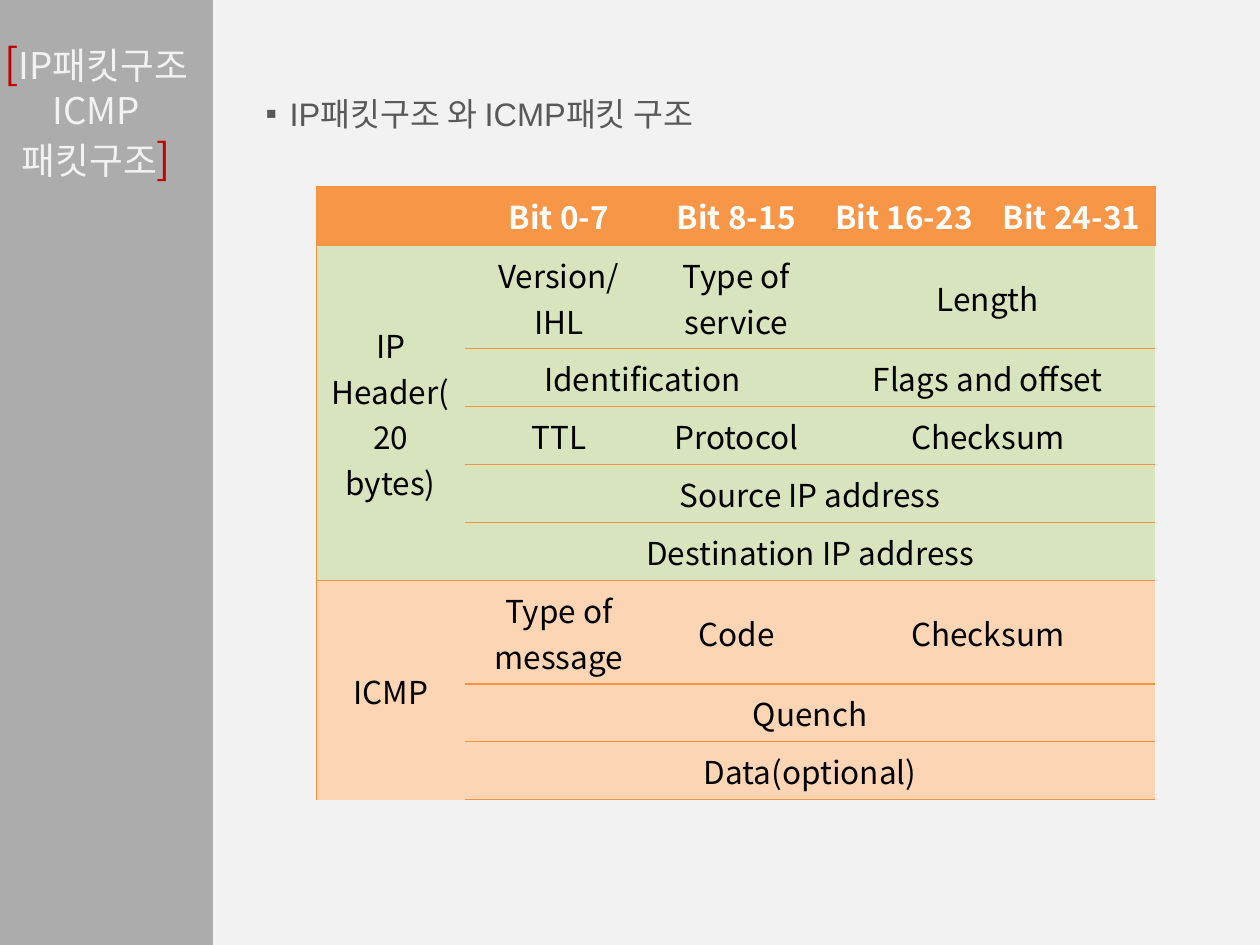
from lxml.etree import SubElement
from pptx import Presentation
from pptx.dml.color import RGBColor
from pptx.enum.shapes import MSO_SHAPE as Shape
from pptx.enum.text import MSO_ANCHOR as Anchor, PP_ALIGN as Align
from pptx.oxml import parse_xml
from pptx.oxml.ns import nsdecls, qn
from pptx.util import Inches, Pt

WHITE = RGBColor(0xFF, 0xFF, 0xFF)
BLACK = RGBColor(0, 0, 0)
PALE = RGBColor(0xF2, 0xF2, 0xF2)
DARK = RGBColor(0x26, 0x26, 0x26)
GRAY = RGBColor(0x59, 0x59, 0x59)
RED = RGBColor(0xC0, 0, 0)
ORANGE = RGBColor(0xF7, 0x96, 0x46)
EDGE = RGBColor(0xF6, 0x92, 0x40)
GREEN = RGBColor(0xD7, 0xE4, 0xBD)
PEACH = RGBColor(0xFC, 0xD5, 0xB5)
SANS = "Noto Sans CJK KR"

# Content: each field is (text, columns it spans)
TITLE = [("[", 24, RED), ("IP패킷구조\vICMP패킷구조", 21, PALE), ("]", 24, RED)]
LEAD = "IP패킷구조 와 ICMP패킷 구조"
HEADS = ["Bit 0-7", "Bit 8-15", "Bit 16-23", "Bit 24-31"]
GROUPS = [
    ("IP Header(20 bytes)", GREEN, [
        [("Version/IHL", 1), ("Type of service", 1), ("Length", 2)],
        [("Identification", 2), ("Flags and offset", 2)],
        [("TTL", 1), ("Protocol", 1), ("Checksum", 2)],
        [("Source IP address", 4)],
        [("Destination IP address", 4)],
    ]),
    ("ICMP", PEACH, [
        [("Type of message", 1), ("Code", 1), ("Checksum", 2)],
        [("Quench", 4)],
        [("Data(optional)", 4)],
    ]),
]
COLS = [1.18, 1.49, 1.33, 1.33, 1.33]
LOW, TALL = 0.46, 0.82

deck = Presentation()
deck.slide_width, deck.slide_height = Inches(10), Inches(7.5)
slide = deck.slides.add_slide(deck.slide_layouts[6])


def write(para, text, size=18, color=BLACK, font=SANS, bold=False, align=Align.CENTER):
    """Add text to a paragraph; a vertical tab breaks the line."""
    para.alignment = align
    for i, part in enumerate(text.split("\v")):
        if i:
            para.add_line_break()
        run = para.add_run()
        run.text = part
        run.font.size, run.font.bold = Pt(size), bold
        run.font.name, run.font.color.rgb = font, color
        SubElement(run.font._element, qn("a:ea"), typeface=SANS)


def panel(width, color, alpha=100):
    box = slide.shapes.add_shape(Shape.RECTANGLE, Inches(-0.04), 0, Inches(width), Inches(7.5))
    box.shadow.inherit = False
    box.line.fill.background()
    box.fill.solid()
    box.fill.fore_color.rgb = color
    tint = box.fill._xPr.find(".//" + qn("a:srgbClr"))
    SubElement(tint, qn("a:alpha"), val=str(alpha * 1000))


def textbox(left, top, width, height, anchor):
    frame = slide.shapes.add_textbox(*map(Inches, (left, top, width, height))).text_frame
    frame.word_wrap, frame.vertical_anchor = True, anchor
    return frame.paragraphs[0]


def paint(cell, color, sides):
    """Fill a cell and draw the named sides; hide the others."""
    props = cell._tc.get_or_add_tcPr()
    for side in "LRTB":
        ink = (f'<a:solidFill><a:srgbClr val="{EDGE}"/></a:solidFill>'
               if side in sides else "<a:noFill/>")
        props.append(parse_xml(f'<a:ln{side} {nsdecls("a")} w="{Pt(0.75)}">{ink}</a:ln{side}>'))
    cell.fill.solid()
    cell.fill.fore_color.rgb = color


def label(cell, text, **form):
    cell.vertical_anchor = Anchor.MIDDLE
    write(cell.text_frame.paragraphs[0], text, **form)


# Background and side bar
panel(10.04, PALE)
panel(1.73, DARK, 34)

# Title
para = textbox(-0.1, 0.6, 1.73, 0.55, Anchor.MIDDLE)
for text, size, color in TITLE:
    write(para, text, size=size, color=color)

# Lead line with a square bullet
para = textbox(2.01, 0.6, 5.75, 1.34, Anchor.TOP)
write(para, LEAD, size=18.6, color=GRAY, font="Arial", align=Align.LEFT)
para.line_spacing = 1.3
props = para._p.get_or_add_pPr()
props.set("marL", str(Inches(0.19)))
props.set("indent", str(-Inches(0.19)))
SubElement(props, qn("a:buFont"), typeface="Arial")
SubElement(props, qn("a:buChar"), char="▪")

# Packet table
lines = [line for _, _, group in GROUPS for line in group]
highs = [0.47] + [TALL if len(line) == 3 and " " in line[1][0] or line[0][0] == "Type of message"
                  else LOW for line in lines]
table = slide.shapes.add_table(len(highs), len(COLS), Inches(2.51), Inches(1.48),
                               Inches(sum(COLS)), Inches(sum(highs))).table
for col, width in zip(table.columns, COLS):
    col.width = Inches(width)
for row, high in zip(table.rows, highs):
    row.height = Inches(high)

last = len(COLS) - 1
for c in range(len(COLS)):
    paint(table.cell(0, c), ORANGE, "TB" + "L" * (c == 0) + "R" * (c == last))
    if c:
        label(table.cell(0, c), HEADS[c - 1], color=WHITE, bold=True)

top = 1
for name, color, group in GROUPS:
    end = top + len(group) - 1
    for r, line in enumerate(group, top):
        paint(table.cell(r, 0), color, "L" + "T" * (r == top) + "B" * (r == end))
        for c in range(1, len(COLS)):
            paint(table.cell(r, c), color, "TB" + "R" * (c == last))
        c = 1
        for text, span in line:
            if span > 1:
                table.cell(r, c).merge(table.cell(r, c + span - 1))
            label(table.cell(r, c), text)
            c += span
    table.cell(top, 0).merge(table.cell(end, 0))
    label(table.cell(top, 0), name)
    top = end + 1

deck.save("out.pptx")
